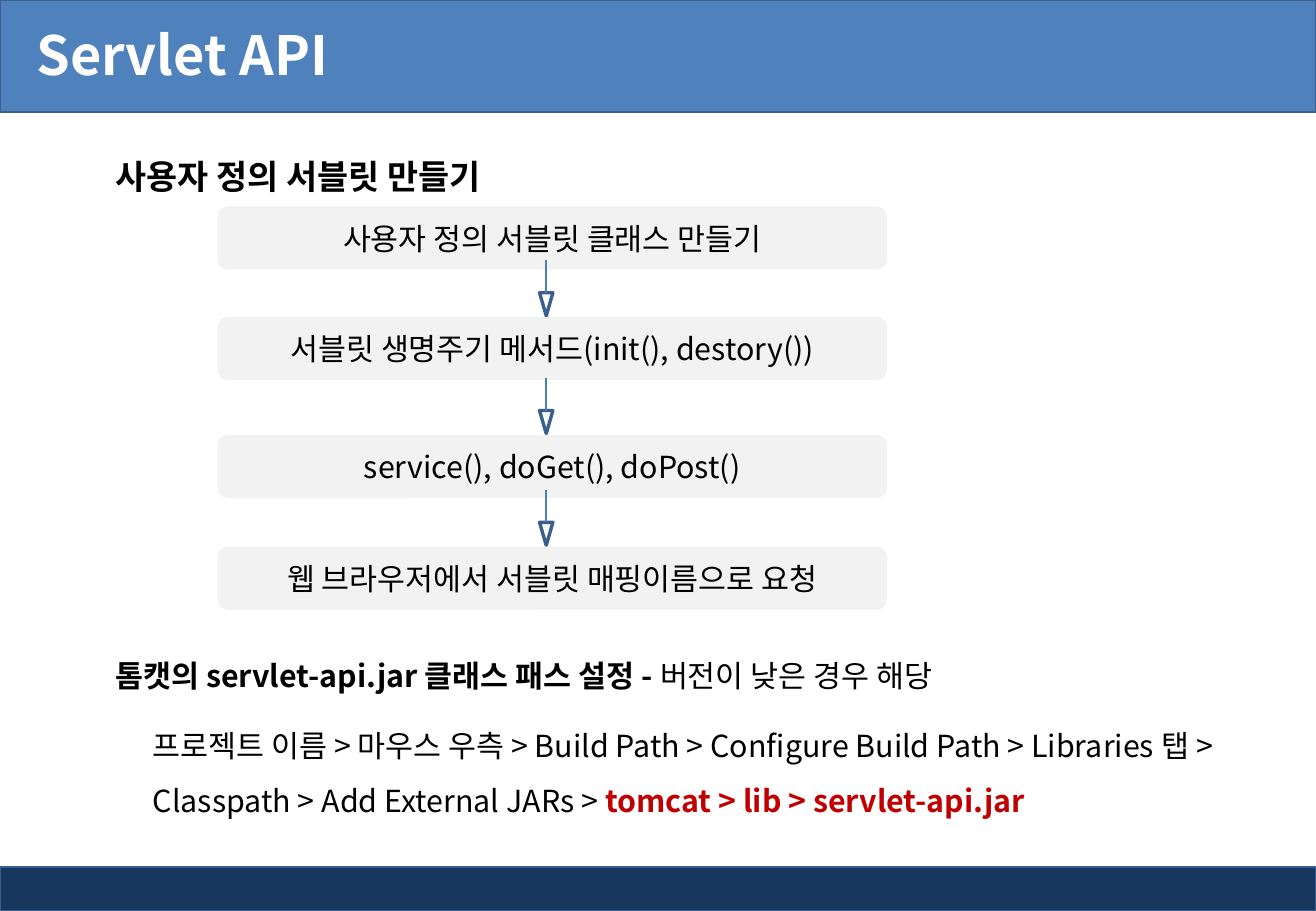
import pptx
import pptx.dml.color
import pptx.enum.shapes
import pptx.enum.text
import pptx.oxml
import pptx.oxml.ns
import pptx.util
from dataclasses import dataclass

Inches = pptx.util.Inches
Pt = pptx.util.Pt
Shape = pptx.enum.shapes.MSO_SHAPE
Anchor = pptx.enum.text.MSO_ANCHOR
Align = pptx.enum.text.PP_ALIGN


@dataclass(frozen=True)
class Theme:
    font: str = "Noto Sans CJK KR"
    white: str = "FFFFFF"
    black: str = "000000"
    red: str = "C00000"
    band: str = "4F81BD"
    navy: str = "17375E"
    edge: str = "3A5F8C"
    stem: str = "4B7EBC"
    panel: str = "F2F2F2"
    title: int = 32
    head: int = 20
    body: int = 18


THEME = Theme()
WIDTH, HEIGHT = 10.83, 7.5
STEPS = [
    (1.7, "사용자 정의 서블릿 클래스 만들기"),
    (2.61, "서블릿 생명주기 메서드(init(), destory())"),
    (3.58, "service(), doGet(), doPost()"),
    (4.5, "웹 브라우저에서 서블릿 매핑이름으로 요청"),
]


def rgb(code):
    return pptx.dml.color.RGBColor.from_string(code)


def add_run(para, text, size, color=THEME.black, bold=False):
    run = para.add_run()
    run.text = text
    font = run.font
    font.name, font.size, font.bold = THEME.font, Pt(size), bold
    font.color.rgb = rgb(color)
    # East Asian glyphs take their typeface from a:ea
    east = pptx.oxml.parse_xml(
        f'<a:ea {pptx.oxml.ns.nsdecls("a")} typeface="{THEME.font}"/>')
    font._element.append(east)


def add_box(shapes, kind, box, fill=None, line=None, weight=1):
    shape = shapes.add_shape(kind, *map(Inches, box))
    shape.shadow.inherit = False
    if fill:
        shape.fill.solid()
        shape.fill.fore_color.rgb = rgb(fill)
    else:
        shape.fill.background()
    if line:
        shape.line.color.rgb = rgb(line)
        shape.line.width = Pt(weight)
    else:
        shape.line.fill.background()
    return shape


def add_text(slide, box, runs, spacing=1.5):
    """Add one paragraph; each run is (text, size, colour, bold)."""
    frame = slide.shapes.add_textbox(*map(Inches, box)).text_frame
    frame.word_wrap = True
    para = frame.paragraphs[0]
    para.line_spacing = spacing
    for run in runs:
        add_run(para, *run)
    return frame


def add_bands(slide, top, foot):
    """Add the footer band and the title band of the given heights."""
    add_box(slide.shapes, Shape.RECTANGLE, (0, HEIGHT - foot, WIDTH, foot),
            THEME.navy, THEME.edge)
    add_box(slide.shapes, Shape.RECTANGLE, (0, 0, WIDTH, top),
            THEME.band, THEME.edge)
    frame = add_text(slide, (0, -0.03, 8.74, 0.94),
                     [("Servlet API", THEME.title, THEME.white, True)], 1.0)
    frame.margin_left = Inches(0.3)
    frame.vertical_anchor = Anchor.MIDDLE


def add_arrow(slide, mid, tip):
    """Add a stem and an open head that points down to the tip."""
    wide, high, stem = 0.11, 0.19, 0.27
    neck = tip - high
    group = slide.shapes.add_group_shape()
    head = add_box(group.shapes, Shape.ISOSCELES_TRIANGLE,
                   (mid - wide / 2, neck, wide, high), None, THEME.edge, 2)
    head.rotation = 180
    line = group.shapes.add_connector(
        pptx.enum.shapes.MSO_CONNECTOR.STRAIGHT,
        *map(Inches, (mid, neck, mid, neck - stem)))
    line.line.color.rgb = rgb(THEME.stem)
    line.line.width = Pt(1)
    line._element.spPr.append(pptx.oxml.parse_xml(
        f'<a:effectLst {pptx.oxml.ns.nsdecls("a")}/>'))


def add_flow(slide, left, width, high):
    for index, (top, text) in enumerate(STEPS):
        if index:
            add_arrow(slide, left + width / 2 - 0.05, top - 0.01)
        step = add_box(slide.shapes, Shape.ROUNDED_RECTANGLE,
                       (left, top, width, high), THEME.panel)
        frame = step.text_frame
        frame.word_wrap = True
        frame.vertical_anchor = Anchor.MIDDLE
        para = frame.paragraphs[0]
        para.alignment = Align.CENTER
        add_run(para, text, THEME.body)


def add_notes(slide, left, top, width):
    """Add the class path heading and the menu steps below it."""
    add_text(slide, (left, top, width, 0.61), [
        ("톰캣의 servlet-api.jar 클래스 패스 설정 -",
         THEME.body, THEME.black, True),
        (" ", THEME.head, THEME.black, True),
        ("버전이 낮은 경우 해당", THEME.body),
    ])
    add_text(slide, (left + 0.31, top + 0.62, width - 0.23, 0.95), [
        ("프로젝트 이름 > 마우스 우측 > Build Path > Configure Build Path > "
         "Libraries 탭 > Classpath > Add External JARs > ", THEME.body),
        ("tomcat > lib > servlet-api.jar", THEME.body, THEME.red, True),
    ])


def main():
    deck = pptx.Presentation()
    deck.slide_width, deck.slide_height = Inches(WIDTH), Inches(HEIGHT)
    slide = deck.slides.add_slide(deck.slide_layouts[6])
    add_bands(slide, 0.92, 0.36)
    add_text(slide, (0.85, 1.07, 9.29, 0.54),
             [("사용자 정의 서블릿 만들기", THEME.head, THEME.black, True)])
    add_flow(slide, 1.79, 5.51, 0.52)
    add_notes(slide, 0.85, 5.17, 9.29)
    deck.save("out.pptx")


if __name__ == "__main__":
    main()
